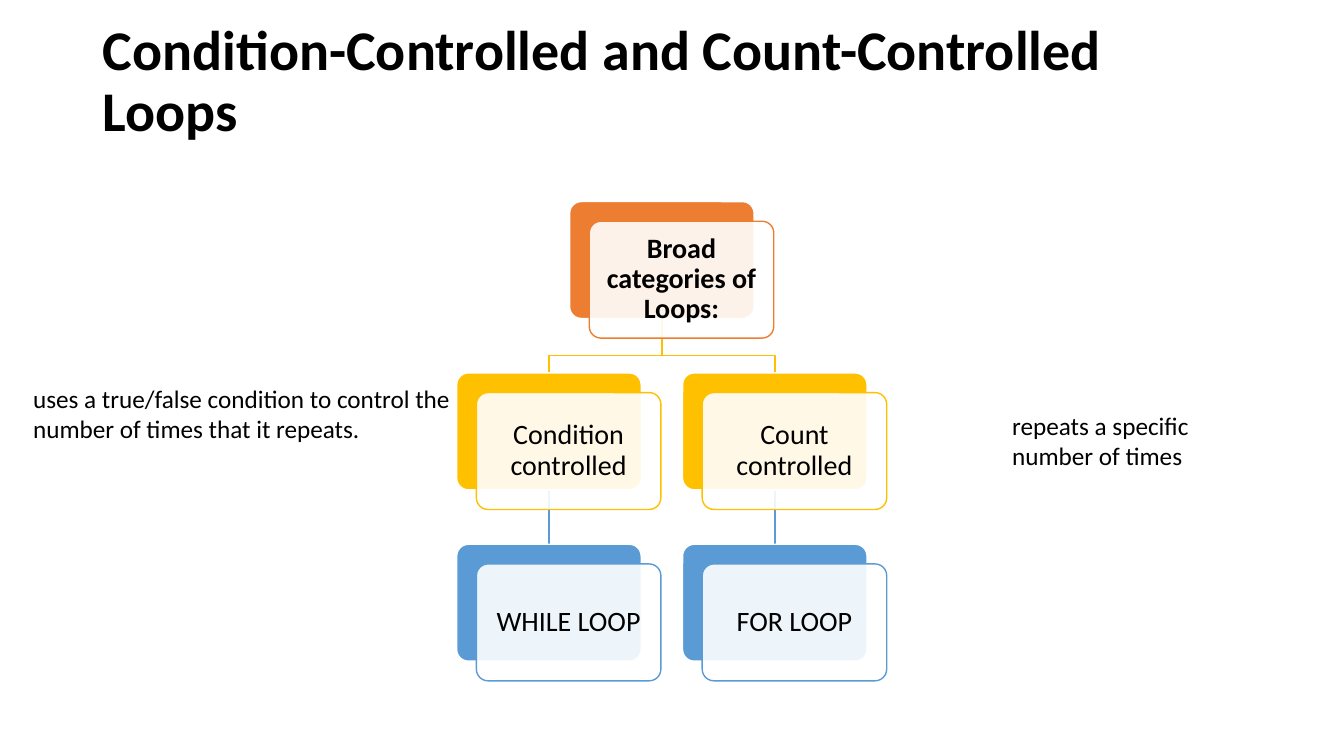
from lxml.etree import SubElement
from pptx import Presentation
from pptx.dml.color import RGBColor as RGB
from pptx.enum.shapes import MSO_CONNECTOR as Connector, MSO_SHAPE as Preset
from pptx.enum.text import MSO_ANCHOR as Anchor, MSO_AUTO_SIZE as AutoSize, PP_ALIGN as Align
from pptx.oxml.ns import qn
from pptx.util import Inches, Pt

TITLE = "Condition-Controlled and Count-Controlled Loops"
COLORS = {"root": "ED7D31", "kind": "FFC000", "loop": "5B9BD5",
          "paper": "FFFFFF", "ink": "000000"}
LEVELS = ["root", "kind", "loop"]
NODES = [
    ("Broad categories of Loops:", 0.5, 0),
    ("Condition controlled", 0, 1),
    ("WHILE LOOP", 0, 2),
    ("Count controlled", 1, 1),
    ("FOR LOOP", 1, 2),
]
LINKS = [((0.5, 0), (0, 1)), ((0.5, 0), (1, 1)), ((0, 1), (0, 2)), ((1, 1), (1, 2))]
NOTES = [
    ("repeats a specific number of times", (9.94, 4.02, 2.61, 0.71)),
    ("uses a true/false condition to control the\nnumber of times that it repeats.",
     (0.23, 3.75, 6.67, 0.71)),
]

FONT = "Calibri"
LEFT, TOP = 4.53, 2.0
COL_STEP, ROW_STEP = 2.24, 1.7
CARD_W, CARD_H = 1.83, 1.16
OFFSET = 0.195
BEND = 0.17
INSET = 0.12


def color(name):
    return RGB.from_string(COLORS[name])


def format_text(frame, size, bold=False, align=Align.LEFT, spacing=1.0):
    for paragraph in frame.paragraphs:
        paragraph.alignment = align
        paragraph.line_spacing = spacing
        for run in paragraph.runs:
            run.font.name = FONT
            run.font.size = Pt(size)
            run.font.bold = bold
            run.font.color.rgb = color("ink")


def corner(col, row):
    return LEFT + col * COL_STEP, TOP + row * ROW_STEP


def draw_link(shapes, parent, child):
    (px, py), (cx, cy) = corner(*parent), corner(*child)
    start = Inches(px + CARD_W / 2), Inches(py + CARD_H)
    end = Inches(cx + CARD_W / 2), Inches(cy)
    if px == cx:
        link = shapes.add_connector(Connector.STRAIGHT, *start, *end)
        SubElement(link._element.spPr, qn("a:effectLst"))
    else:
        turn = Inches(cy - BEND)
        outline = shapes.build_freeform(*start, scale=1.0)
        outline.add_line_segments([(start[0], turn), (end[0], turn), end], close=False)
        link = outline.convert_to_shape()
        link.fill.background()
        link.shadow.inherit = False
    link.line.color.rgb = color(LEVELS[child[1]])
    link.line.width = Pt(1)


def draw_card(shapes, x, y, fill, line):
    card = shapes.add_shape(Preset.ROUNDED_RECTANGLE, Inches(x), Inches(y),
                            Inches(CARD_W), Inches(CARD_H))
    card.adjustments[0] = 0.1
    card.shadow.inherit = False
    card.fill.solid()
    card.fill.fore_color.rgb = color(fill)
    card.line.color.rgb = color(line)
    card.line.width = Pt(1)
    return card


def draw_node(shapes, label, col, row):
    x, y = corner(col, row)
    level = LEVELS[row]
    draw_card(shapes, x, y, level, "paper")
    front = draw_card(shapes, x + OFFSET, y + OFFSET, "paper", level)
    tint = front._element.spPr.find(qn("a:solidFill"))[0]
    SubElement(tint, qn("a:alpha"), val="90000")
    frame = front.text_frame
    frame.word_wrap = True
    frame.vertical_anchor = Anchor.MIDDLE
    frame.margin_left = frame.margin_right = Inches(INSET)
    frame.margin_top = frame.margin_bottom = Inches(INSET)
    frame.text = label
    format_text(frame, 20, row == 0, Align.CENTER, 0.9)


prs = Presentation()
prs.slide_width, prs.slide_height = Inches(13.33), Inches(7.5)
slide = prs.slides.add_slide(prs.slide_layouts[5])
shapes = slide.shapes

title = shapes.title
title.left, title.top, title.width, title.height = map(Inches, (0.92, 0.4, 11.5, 0.84))
title.text_frame.text = TITLE
title.text_frame.auto_size = AutoSize.NONE
title.text_frame.vertical_anchor = Anchor.MIDDLE
format_text(title.text_frame, 40, True, spacing=0.9)

for parent, child in LINKS:
    draw_link(shapes, parent, child)
for label, col, row in NODES:
    draw_node(shapes, label, col, row)
for note, place in NOTES:
    frame = shapes.add_textbox(*map(Inches, place)).text_frame
    frame.word_wrap = True
    frame.text = note
    format_text(frame, 18)

prs.save("out.pptx")
